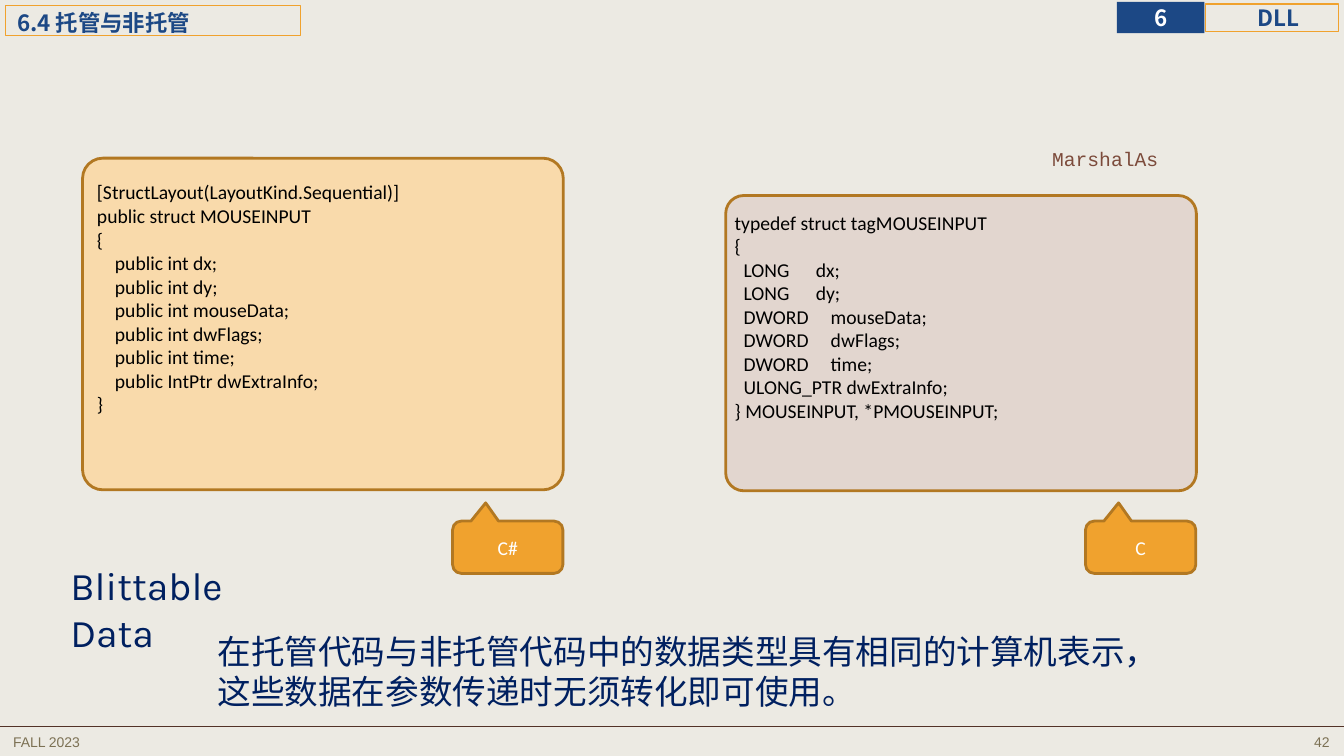
import pptx
import pptx.util
import pptx.dml.color
import pptx.enum.shapes
import pptx.enum.text
import pptx.oxml.ns
import lxml.etree

Pt = pptx.util.Pt
Shape = pptx.enum.shapes.MSO_SHAPE
Align = pptx.enum.text.PP_ALIGN
Anchor = pptx.enum.text.MSO_ANCHOR
qn = pptx.oxml.ns.qn

COLORS = {
    "paper": "ECEAE3", "amber": "F0A22E", "bronze": "B27822", "blue": "1C4885",
    "navy": "002060", "sand": "F9DAAB", "clay": "E2D6CF", "brown": "7C4B3B",
    "rule": "523227", "muted": "7C7154", "white": "FFFFFF", "black": "000000",
}
HAN = "Noto Sans CJK SC"

SECTION = "6.4 托管与非托管"
CHAPTER = [
    ("DLL", (861.1, 2.9, 95, 19.4), None, "amber", "blue", 8.64),
    ("6", (797.8, 1.4, 62.6, 22.3), "blue", None, "white", 0),
]
FOOTERS = [("FALL 2023", 2.2, Align.LEFT), ("42", 756.7, Align.RIGHT)]
CSHARP = [
    "[StructLayout(LayoutKind.Sequential)]",
    "public struct MOUSEINPUT",
    "{",
    "\tpublic int dx;",
    "\tpublic int dy;",
    "\tpublic int mouseData;",
    "\tpublic int dwFlags;",
    "\tpublic int time;",
    "\tpublic IntPtr dwExtraInfo;",
    "}",
]
C = [
    "typedef struct tagMOUSEINPUT",
    "{",
    "\tLONG\tdx;",
    "\tLONG\tdy;",
    "\tDWORD\tmouseData;",
    "\tDWORD\tdwFlags;",
    "\tDWORD\ttime;",
    "\tULONG_PTR dwExtraInfo;",
    "} MOUSEINPUT, *PMOUSEINPUT;",
]
LISTINGS = [
    ("C#", CSHARP, (59, 113, 343.4, 236.9), "sand", (62.2, 125.3), (12.8,), 323.3),
    ("C", C, (518.4, 139.7, 336.2, 210.9), "clay", (517.7, 146.9), (6.4, 57.9), 775.4),
]
NOTES = [
    (["Blittable Data"], (43.2, 397.4, 172, 75), 28, "Karla", "navy"),
    (["在托管代码与非托管代码中的数据类型具有相同的计算机表示，",
      "这些数据在参数传递时无须转化即可使用。"], (148.3, 447.1, 693.4, 65.5), 24, HAN, "navy"),
    (["MarshalAs"], (744.5, 101.5, 110.2, 24.5), 14, "Courier New", "brown"),
]

deck = pptx.Presentation()
deck.slide_width, deck.slide_height = Pt(960), Pt(540)
slide = deck.slides.add_slide(deck.slide_layouts[5])


def rgb(color):
    return pptx.dml.color.RGBColor.from_string(COLORS[color])


def paint(shape, fill, line, width):
    if fill:
        shape.fill.solid()
        shape.fill.fore_color.rgb = rgb(fill)
    else:
        shape.fill.background()
    if line:
        shape.line.color.rgb = rgb(line)
        shape.line.width = Pt(width)
    else:
        shape.line.fill.background()


def write(shape, lines, size=14, font="Calibri", color="black", bold=False,
          align=Align.LEFT, anchor=Anchor.TOP, insets=(7.2, 3.6, 7.2, 3.6), stops=()):
    frame = shape.text_frame
    frame.auto_size = pptx.enum.text.MSO_AUTO_SIZE.NONE
    frame.word_wrap = True
    frame.vertical_anchor = anchor
    frame.margin_left, frame.margin_top, frame.margin_right, frame.margin_bottom = map(Pt, insets)
    for index, line in enumerate(lines):
        paragraph = frame.add_paragraph() if index else frame.paragraphs[0]
        paragraph.alignment = align
        run = paragraph.add_run()
        run.text = line
        run.font.size, run.font.name, run.font.bold = Pt(size), font, bold
        run.font.color.rgb = rgb(color)
        east = lxml.etree.SubElement(run.font._element, qn("a:ea"))
        east.set("typeface", font)
        if line.startswith("\t"):
            tabs = lxml.etree.SubElement(paragraph._p.get_or_add_pPr(), qn("a:tabLst"))
            wide = 10.7 if "DWORD" in line else 0
            for level, stop in enumerate(stops):
                tab = lxml.etree.SubElement(tabs, qn("a:tab"))
                tab.set("pos", str(Pt(stop + wide * level)))
                tab.set("algn", "l")


def add_shape(kind, place, fill, line, width):
    shape = slide.shapes.add_shape(kind, *map(Pt, place))
    shape.shadow.inherit = False
    paint(shape, fill, line, width)
    return shape


def add_text(place, lines, **look):
    write(slide.shapes.add_textbox(*map(Pt, place)), lines, **look)


slide.background.fill.solid()
slide.background.fill.fore_color.rgb = rgb("paper")

section = slide.shapes.title
section.left, section.top, section.width, section.height = map(Pt, (3.6, 3.6, 211, 21.6))
paint(section, None, "amber", 0.75)
write(section, [SECTION], size=16, font=HAN, color="blue", bold=True,
      anchor=Anchor.MIDDLE, insets=(8.64, 0, 0, 0))
heading = section.text_frame.paragraphs[0]
heading.line_spacing = 1.2
heading.space_before = heading.space_after = Pt(1.6)

for label, place, fill, line, color, inset in CHAPTER:
    write(add_shape(Shape.RECTANGLE, place, fill, line, 0.75), [label], size=16, font=HAN,
          color=color, bold=True, align=Align.CENTER, anchor=Anchor.MIDDLE,
          insets=(inset, 0, 0, 0))

footer_rule = slide.shapes.add_connector(
    pptx.enum.shapes.MSO_CONNECTOR.STRAIGHT, Pt(0), Pt(519.1), Pt(960), Pt(519.1))
footer_rule.line.color.rgb = rgb("rule")
footer_rule.line.width = Pt(0.5)
lxml.etree.SubElement(footer_rule._element.spPr, qn("a:effectLst"))
for label, left, align in FOOTERS:
    add_text((left, 520.6, 200.2, 18.5), [label], size=10, font="Arial", color="muted", align=align)

for language, code, panel, fill, (left, top), stops, callout_left in LISTINGS:
    card = add_shape(Shape.ROUNDED_RECTANGLE, panel, fill, "bronze", 2)
    card.adjustments[0] = 0.061
    add_text((left, top, panel[2] - 4, panel[1] + panel[3] - top), code, stops=stops)
    callout = add_shape(Shape.ROUNDED_RECTANGULAR_CALLOUT, (callout_left, 372.2, 78.8, 37.4),
                        "amber", "bronze", 2)
    for index, value in enumerate((-0.2, -0.848, 0.167)):
        callout.adjustments[index] = value
    write(callout, [language], color="white", align=Align.CENTER, anchor=Anchor.MIDDLE)

for lines, place, size, font, color in NOTES:
    add_text(place, lines, size=size, font=font, color=color)

deck.save("out.pptx")
